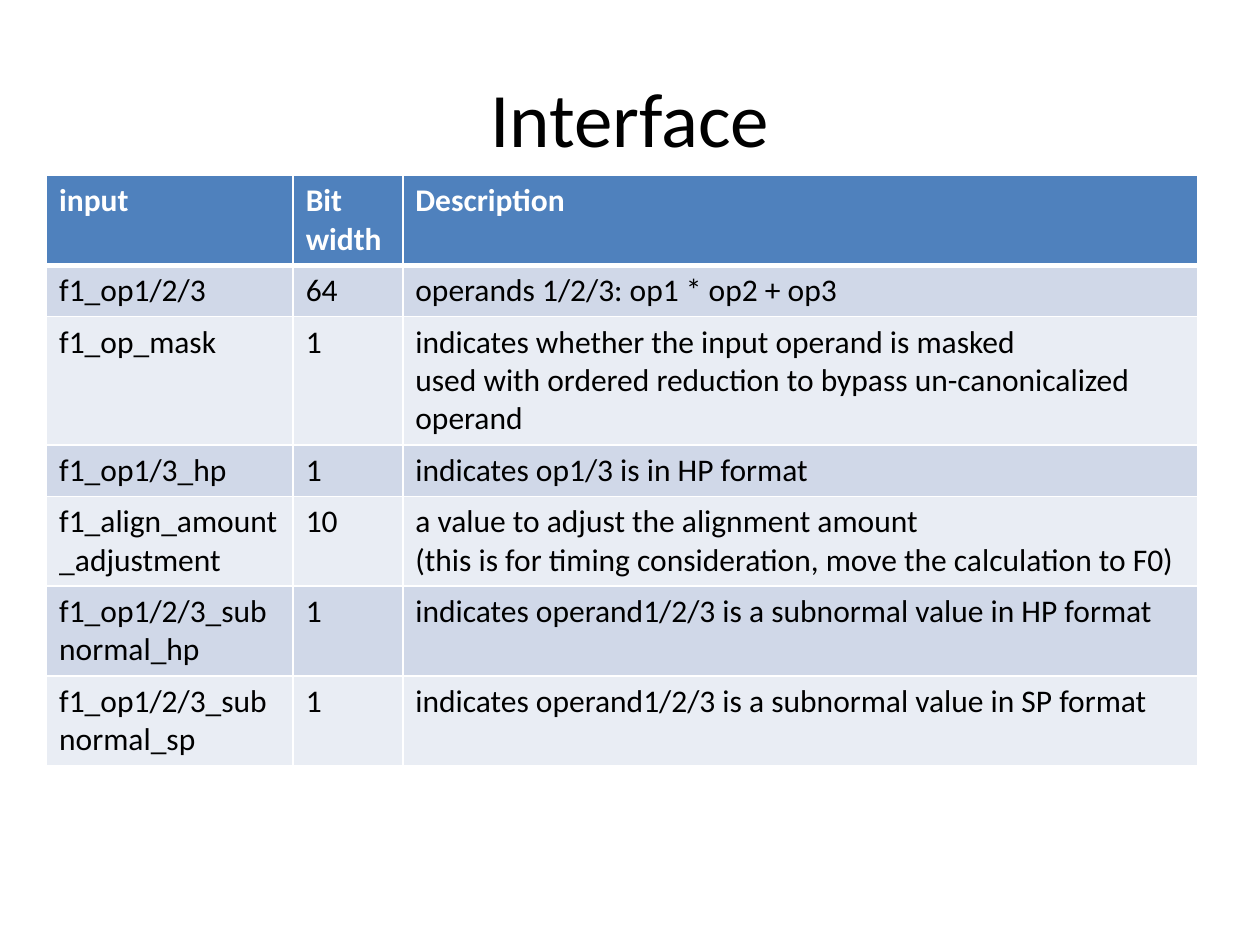
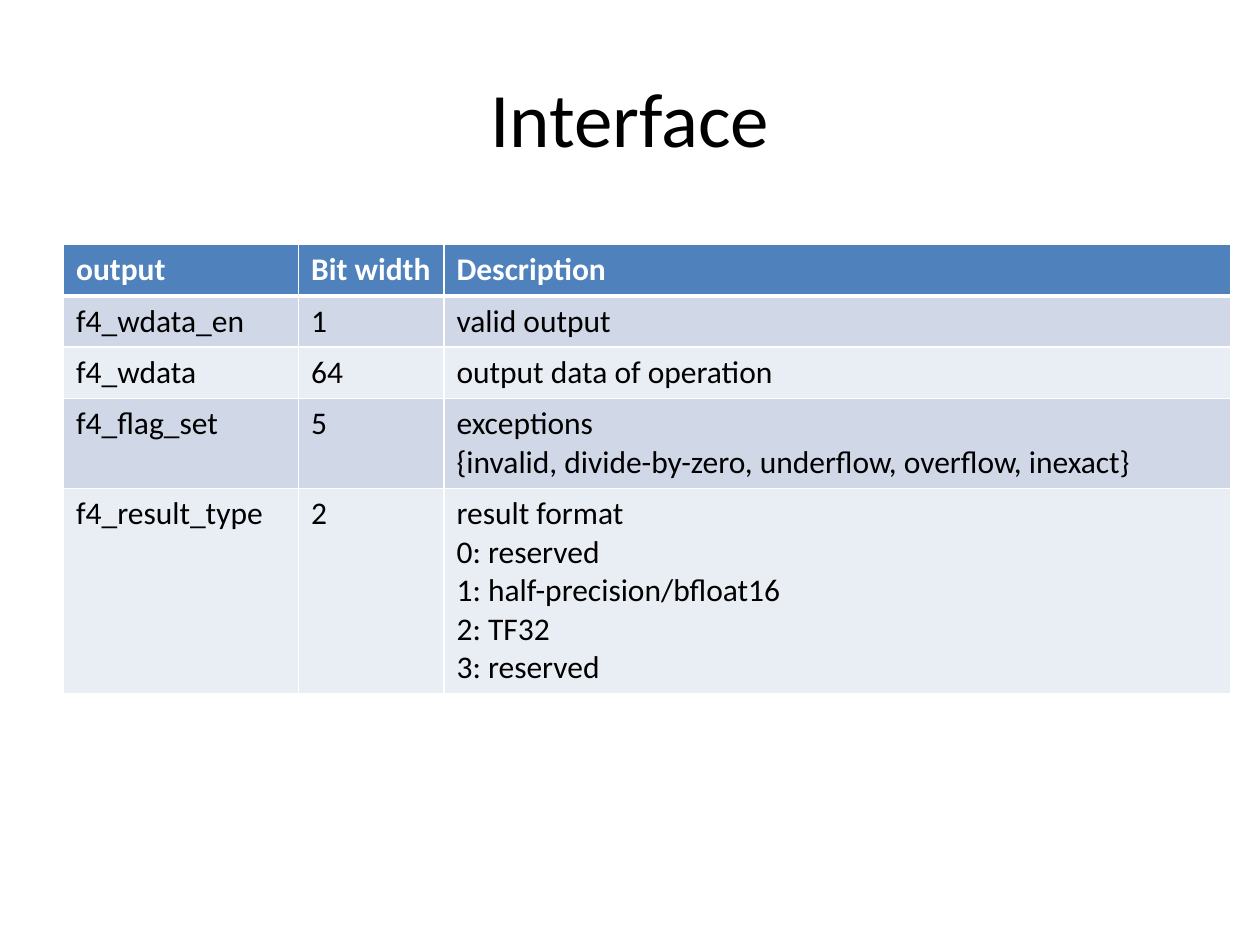
from lxml.etree import SubElement
from pptx import Presentation
from pptx.dml.color import RGBColor
from pptx.enum.text import MSO_ANCHOR, PP_ALIGN
from pptx.oxml.ns import qn
from pptx.util import Cm, Pt

FONT = "Calibri"
BLACK = RGBColor(0x00, 0x00, 0x00)
WHITE = RGBColor(0xFF, 0xFF, 0xFF)
BLUE = RGBColor(0x4F, 0x81, 0xBD)
BANDS = RGBColor(0xE9, 0xED, 0xF4), RGBColor(0xD0, 0xD8, 0xE8)
LINE = 0.775
PAD = 0.26

INPUTS = [
    ("input", "Bit width", "Description"),
    ("f1_op1/2/3", "64", "operands 1/2/3: op1 * op2 + op3"),
    ("f1_op_mask", "1",
     "indicates whether the input operand is masked\n"
     "used with ordered reduction to bypass un-canonicalized operand"),
    ("f1_op1/3_hp", "1", "indicates op1/3 is in HP format"),
    ("f1_align_amount_adjustment", "10",
     "a value to adjust the alignment amount\n"
     "(this is for timing consideration, move the calculation to F0)"),
    ("f1_op1/2/3_subnormal_hp", "1",
     "indicates operand1/2/3 is a subnormal value in HP format"),
    ("f1_op1/2/3_subnormal_sp", "1",
     "indicates operand1/2/3 is a subnormal value in SP format"),
]
OUTPUTS = [
    ("output", "Bit width", "Description"),
    ("f4_wdata_en", "1", "valid output"),
    ("f4_wdata", "64", "output data of operation"),
    ("f4_flag_set", "5",
     "exceptions\n{invalid, divide-by-zero, underflow, overflow, inexact}"),
    ("f4_result_type", "2",
     "result format\n0: reserved\n1: half-precision/bfloat16\n2: TF32\n3: reserved"),
]


def style(frame, size, color, bold=False):
    for para in frame.paragraphs:
        for run in para.runs:
            font = run.font
            font.name, font.size, font.bold = FONT, Pt(size), bold
            font.color.rgb = color


def add_title(slide, text, left, top, width, height):
    title = slide.shapes.title
    title.left, title.top = Cm(left), Cm(top)
    title.width, title.height = Cm(width), Cm(height)
    frame = title.text_frame
    frame.text = text
    frame.vertical_anchor = MSO_ANCHOR.MIDDLE
    frame.paragraphs[0].alignment = PP_ALIGN.CENTER
    style(frame, 44, BLACK)


def set_edges(cell, row):
    props = cell._tc.get_or_add_tcPr()
    for side in "LRTB":
        thick = (row, side) in ((0, "B"), (1, "T"))
        edge = SubElement(props, qn("a:ln" + side), w=str(Pt(3 if thick else 1)))
        fill = SubElement(edge, qn("a:solidFill"))
        SubElement(fill, qn("a:srgbClr"), val=str(WHITE))


def fill_cell(cell, text, row):
    head = row == 0
    cell.text_frame.text = text
    style(cell.text_frame, 18, WHITE if head else BLACK, head)
    set_edges(cell, row)
    cell.fill.solid()
    cell.fill.fore_color.rgb = BLUE if head else BANDS[row % 2]


def add_grid(slide, rows, lines, left, top, widths):
    heights = [PAD + LINE * count for count in lines]
    table = slide.shapes.add_table(
        len(rows), len(widths), Cm(left), Cm(top),
        Cm(sum(widths)), Cm(sum(heights))).table
    for column, width in zip(table.columns, widths):
        column.width = Cm(width)
    for r, (texts, height) in enumerate(zip(rows, heights)):
        table.rows[r].height = Cm(height)
        for c, text in enumerate(texts):
            fill_cell(table.cell(r, c), text, r)


def add_page(deck, rows, lines, left, top, widths):
    slide = deck.slides.add_slide(deck.slide_layouts[5])
    add_title(slide, "Interface", 1.27, 0.76, 22.86, 3.18)
    add_grid(slide, rows, lines, left, top, widths)


def main():
    deck = Presentation()
    deck.slide_width, deck.slide_height = Cm(25.4), Cm(19.05)
    add_page(deck, INPUTS, (2, 1, 3, 1, 2, 2, 2), 0.94, 3.54, (4.97, 2.21, 16.02))
    add_page(deck, OUTPUTS, (1, 1, 1, 2, 5), 1.28, 4.93, (4.74, 2.93, 15.87))
    deck.save("out.pptx")


if __name__ == "__main__":
    main()
